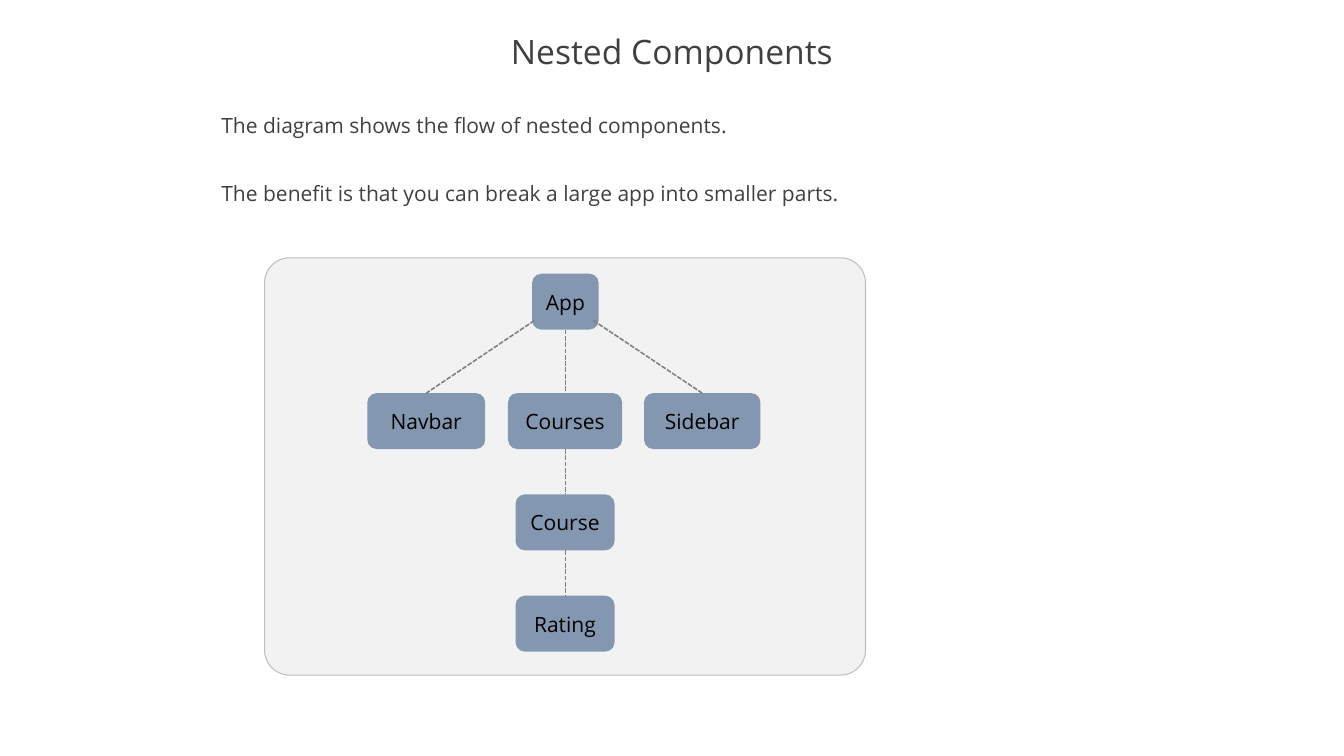
from lxml.etree import SubElement
from pptx import Presentation
from pptx.dml.color import RGBColor
from pptx.enum.dml import MSO_LINE
from pptx.enum.shapes import MSO_CONNECTOR as CONNECTOR, MSO_SHAPE as SHAPE
from pptx.enum.text import MSO_ANCHOR as ANCHOR, PP_ALIGN as ALIGN
from pptx.oxml.ns import qn
from pptx.util import Inches, Pt

PANEL = RGBColor(0xF2, 0xF2, 0xF2)
BORDER = RGBColor(0xBF, 0xBF, 0xBF)
NODE = RGBColor(0x84, 0x97, 0xB0)
LINK = RGBColor(0x80, 0x80, 0x80)
INK = RGBColor(0x40, 0x40, 0x40)
BLACK = RGBColor(0, 0, 0)


class ComponentSlide:
    """Holds the slide, its diagram group and the shared text style."""

    font_name = "Open Sans"
    body_size = 20
    node_height = 0.74

    def __init__(self, presentation):
        self.slide = presentation.slides.add_slide(presentation.slide_layouts[5])
        self.diagram = self.slide.shapes.add_group_shape()

    def set_text(self, shape, text, color, size=body_size, align=ALIGN.LEFT):
        frame = shape.text_frame
        frame.word_wrap = True
        frame.vertical_anchor = ANCHOR.MIDDLE
        paragraph = frame.paragraphs[0]
        paragraph.text = text
        paragraph.alignment = align
        font = paragraph.font
        font.name, font.size, font.color.rgb = self.font_name, Pt(size), color
        return paragraph

    def title(self, text, left, top, width, height):
        shape = self.slide.shapes.title
        shape.left, shape.top = Inches(left), Inches(top)
        shape.width, shape.height = Inches(width), Inches(height)
        self.set_text(shape, text, INK, 32, ALIGN.CENTER).line_spacing = 0.9

    def statement(self, text, left, top, width, height=0.44):
        box = self.slide.shapes.add_textbox(
            Inches(left), Inches(top), Inches(width), Inches(height))
        self.set_text(box, text, INK)

    def rounded(self, left, top, width, height, fill):
        shape = self.diagram.shapes.add_shape(
            SHAPE.ROUNDED_RECTANGLE,
            Inches(left), Inches(top), Inches(width), Inches(height))
        shape.shadow.inherit = False
        shape.fill.solid()
        shape.fill.fore_color.rgb = fill
        return shape

    def panel(self, left, top, width, height):
        shape = self.rounded(left, top, width, height, PANEL)
        shape.adjustments[0] = 0.06
        shape.line.color.rgb = BORDER
        shape.line.width = Pt(1)

    def node(self, text, left, top, width):
        shape = self.rounded(left, top, width, self.node_height, NODE)
        shape.line.fill.background()
        self.set_text(shape, text, BLACK, align=ALIGN.CENTER)

    def link(self, start_x, start_y, end_x, end_y):
        connector = self.diagram.shapes.add_connector(
            CONNECTOR.STRAIGHT,
            Inches(start_x), Inches(start_y), Inches(end_x), Inches(end_y))
        connector.line.color.rgb = LINK
        connector.line.width = Pt(1.5)
        connector.line.dash_style = MSO_LINE.SQUARE_DOT
        SubElement(connector._element.spPr, qn("a:effectLst"))


def main():
    presentation = Presentation()
    presentation.slide_width = Inches(17.78)
    presentation.slide_height = Inches(10)
    page = ComponentSlide(presentation)

    page.title("Nested Components", 0, 0.35, 17.78, 0.73)
    page.statement("The diagram shows the flow of nested components.", 2.83, 1.44, 7.04)
    page.statement("The benefit is that you can break a large app into smaller parts.",
                   2.83, 2.34, 8.44)

    app_top, children_top, course_top, rating_top = 3.62, 5.2, 6.54, 7.88
    page.panel(3.5, 3.41, 7.95, 5.52)
    for text, left, top, width in (
        ("App", 7.04, app_top, 0.88),
        ("Navbar", 4.86, children_top, 1.56),
        ("Courses", 6.72, children_top, 1.51),
        ("Sidebar", 8.52, children_top, 1.54),
        ("Course", 6.82, course_top, 1.31),
        ("Rating", 6.82, rating_top, 1.31),
    ):
        page.node(text, left, top, width)

    page.link(7.85, 4.24, 9.29, children_top)
    page.link(7.07, 4.24, 5.64, children_top)
    center = 7.48
    for upper, lower in ((app_top, children_top), (children_top, course_top),
                         (course_top, rating_top)):
        page.link(center, upper + page.node_height, center, lower)

    presentation.save("out.pptx")


if __name__ == "__main__":
    main()
